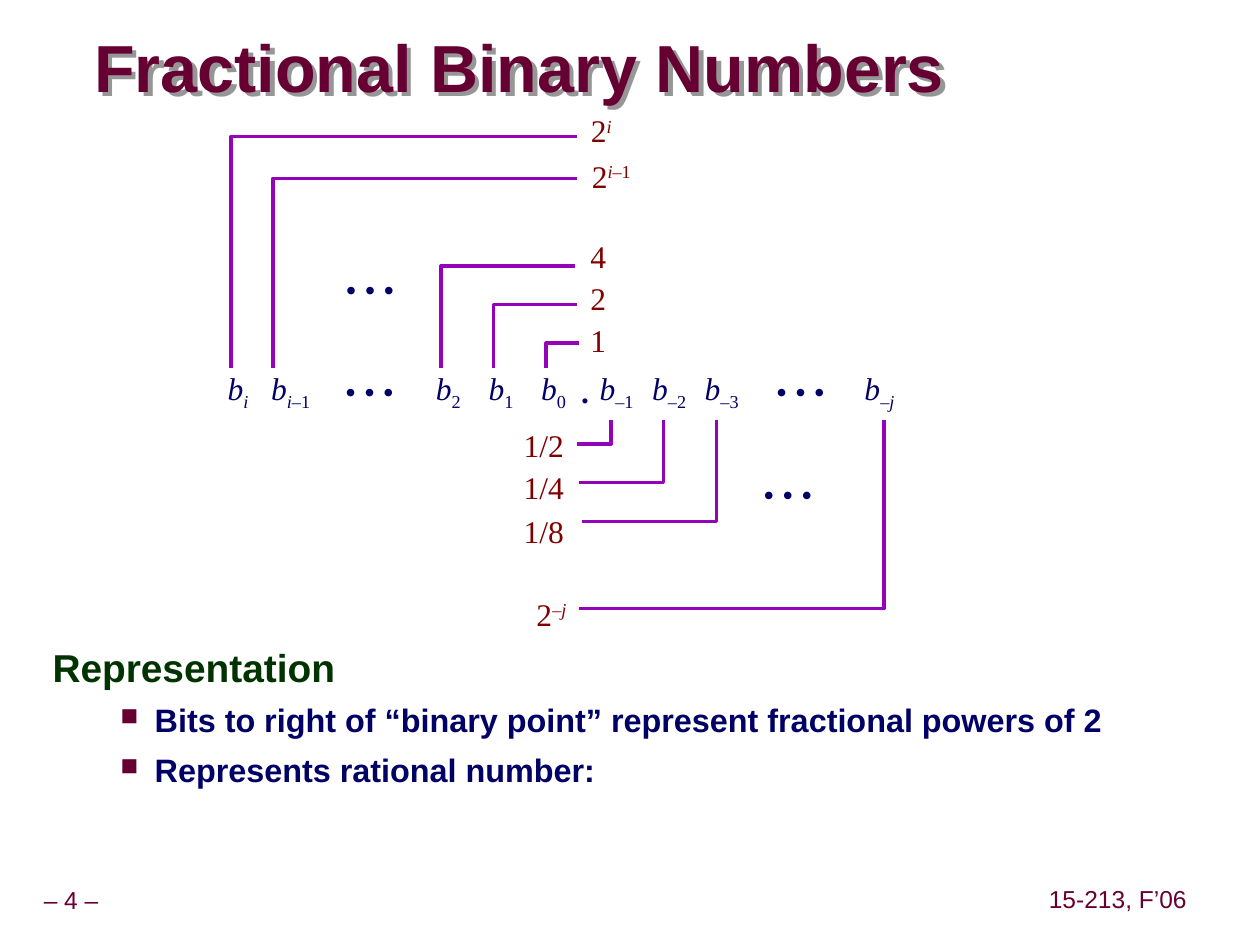
from lxml.etree import SubElement
from pptx import Presentation
from pptx.dml.color import RGBColor
from pptx.enum.shapes import MSO_SHAPE as Shape
from pptx.enum.text import MSO_ANCHOR as Anchor, PP_ALIGN as Align
from pptx.oxml.ns import qn
from pptx.util import Cm, Pt

MAROON = RGBColor(0x66, 0x00, 0x33)
GREEN = RGBColor(0x00, 0x33, 0x00)
NAVY = RGBColor(0x00, 0x00, 0x66)
RED = RGBColor(0x80, 0x00, 0x00)
PURPLE = RGBColor(0x94, 0x03, 0xB9)
GRAY = RGBColor(0x96, 0x96, 0x96)
WHITE = RGBColor(0xFF, 0xFF, 0xFF)
SANS, SERIF = "Arial", "Times New Roman"

TITLE = "Fractional Binary Numbers"
HEADING = "Representation"
BULLETS = [
    "Bits to right of “binary point” represent fractional powers of 2",
    "Represents rational number:",
]
FOOTERS = [("– 4 –", -0.23, 17.78, 3.33), ("15-213, F’06", 21.01, 17.76, 3.05)]

DOTS = [("• • •", "")]
BIT, GAP, POINT = 1.06, 2.12, 0.21
BITS = [
    ([("b", "i"), ("i", "i_")], BIT),
    ([("b", "i"), ("i", "i_"), ("–1", "_")], BIT),
    (DOTS, GAP),
    ([("b", "i"), ("2", "_")], BIT),
    ([("b", "i"), ("1", "_")], BIT),
    ([("b", "i"), ("0", "_")], BIT),
    ([(".", "b")], POINT),
    ([("b", "i"), ("–1", "_")], BIT),
    ([("b", "i"), ("–2", "_")], BIT),
    ([("b", "i"), ("–3", "_")], BIT),
    (DOTS, GAP),
    ([("b", "i"), ("–", "_"), ("j", "i_")], BIT),
]
BITS_LEFT, BITS_TOP, BITS_HEIGHT = 4.27, 7.14, 1.47

UPPER = [
    ([("2", ""), ("i", "i^")], 11.66, 2.11, 1.05, 11.63, 4.66, 2.75),
    ([("2", ""), ("i", "i^"), ("–1", "^")], 11.68, 3.03, 1.4, 11.63, 5.5, 3.6),
    ([("4", "")], 11.65, 4.65, 0.85, 11.6, 8.89, 5.36),
    ([("2", "")], 11.65, 5.5, 0.85, 11.63, 9.95, 6.14),
    ([("1", "")], 11.65, 6.35, 0.85, 11.68, 11.01, 6.92),
]
LOWER = [
    ([("1/2", "")], 10.22, 8.46, 1.4, 11.64, 12.32, 8.95),
    ([("1/4", "")], 10.22, 9.31, 1.4, 11.68, 13.38, 9.73),
    ([("1/8", "")], 10.22, 10.2, 1.4, 11.73, 14.44, 10.51),
    ([("2", ""), ("–", "^"), ("j", "i^")], 10.47, 11.86, 1.2, 11.68, 17.82, 12.27),
]
UPPER_FOOT, LOWER_FOOT = 7.41, 8.47
LABEL_HEIGHT = 1.02
BASELINES = {"_": "-25000", "^": "30000"}


def add_run(paragraph, text, size, color, font=SANS, style=""):
    run = paragraph.add_run()
    run.text = text
    run.font.size = Pt(size)
    run.font.color.rgb = color
    run.font.name = font
    run.font.bold = "b" in style
    run.font.italic = "i" in style
    for mark, baseline in BASELINES.items():
        if mark in style:
            run.font._element.set("baseline", baseline)


def add_formula(paragraph, runs, color):
    for text, style in runs:
        add_run(paragraph, text, 18, color, SERIF, style)


def set_frame(shape, anchor, wrap, inset_x=0.25, inset_y=0.13):
    frame = shape.text_frame
    frame.word_wrap = wrap
    frame.vertical_anchor = anchor
    frame.margin_left = frame.margin_right = Cm(inset_x)
    frame.margin_top = frame.margin_bottom = Cm(inset_y)
    return frame


def add_text_box(slide, left, top, width, height):
    return slide.shapes.add_textbox(Cm(left), Cm(top), Cm(width), Cm(height))


def add_cell(slide, runs, left, top, width):
    cell = slide.shapes.add_shape(
        Shape.RECTANGLE, Cm(left), Cm(top), Cm(width), Cm(BITS_HEIGHT))
    cell.shadow.inherit = False
    cell.fill.solid()
    cell.fill.fore_color.rgb = WHITE
    cell.line.fill.background()
    paragraph = set_frame(cell, Anchor.MIDDLE, False).paragraphs[0]
    paragraph.alignment = Align.CENTER
    add_formula(paragraph, runs, NAVY)
    return cell


def add_weight(slide, weight, alignment, foot):
    runs, left, top, width, end, corner, level = weight
    label = add_text_box(slide, left, top, width, LABEL_HEIGHT)
    paragraph = set_frame(label, Anchor.TOP, False).paragraphs[0]
    paragraph.alignment = alignment
    add_formula(paragraph, runs, RED)
    builder = slide.shapes.build_freeform(Cm(end), Cm(level))
    builder.add_line_segments(
        [(Cm(corner), Cm(level)), (Cm(corner), Cm(foot))], close=False)
    wire = builder.convert_to_shape()
    wire.shadow.inherit = False
    wire.fill.background()
    wire.line.color.rgb = PURPLE
    wire.line.width = Pt(2)


def add_title(slide):
    title = add_text_box(slide, 1.9, 0.64, 19.08, 1.6)
    title.fill.background()
    title.line.fill.background()
    effects = SubElement(title._element.spPr, qn("a:effectLst"))
    shadow = SubElement(effects, qn("a:outerShdw"), dist=str(Cm(0.13)),
                        dir="2700000", algn="ctr", rotWithShape="0")
    SubElement(shadow, qn("a:srgbClr"), val=str(GRAY))
    paragraph = set_frame(title, Anchor.MIDDLE, True, 0, 0).paragraphs[0]
    paragraph.line_spacing = 0.87
    add_run(paragraph, TITLE, 38, MAROON, style="b")


def add_body(slide):
    body = add_text_box(slide, 0.81, 13.06, 23.55, 3.02)
    frame = set_frame(body, Anchor.TOP, True)
    heading = frame.paragraphs[0]
    heading.line_spacing = 0.75
    add_run(heading, HEADING, 22.2, GREEN, style="b")
    for text in BULLETS:
        paragraph = frame.add_paragraph()
        paragraph.space_before = Pt(6.2)
        properties = paragraph._p.get_or_add_pPr()
        properties.set("marL", str(Cm(2.06)))
        properties.set("indent", str(Cm(-0.69)))
        bullet_color = SubElement(properties, qn("a:buClr"))
        SubElement(bullet_color, qn("a:srgbClr"), val=str(MAROON))
        SubElement(properties, qn("a:buSzPct"), val="75000")
        SubElement(properties, qn("a:buChar"), char="■")
        add_run(paragraph, text, 18.5, NAVY, style="b")


def add_footer(slide, text, left, top, width):
    footer = add_text_box(slide, left, top, width, 0.79)
    paragraph = set_frame(footer, Anchor.MIDDLE, False, 0.13).paragraphs[0]
    paragraph.alignment = Align.CENTER
    paragraph.line_spacing = 0.9
    add_run(paragraph, text, 14, MAROON)


def main():
    presentation = Presentation()
    presentation.slide_width, presentation.slide_height = Cm(25.4), Cm(19.05)
    slide = presentation.slides.add_slide(presentation.slide_layouts[6])

    for footer in FOOTERS:
        add_footer(slide, *footer)
    add_title(slide)
    add_body(slide)

    left = BITS_LEFT
    for runs, width in BITS:
        add_cell(slide, runs, left, BITS_TOP, width)
        left += width

    add_cell(slide, DOTS, 6.4, 5.08, GAP)
    add_cell(slide, DOTS, 14.82, 9.3, GAP).rotation = 180
    for weight in UPPER:
        add_weight(slide, weight, Align.LEFT, UPPER_FOOT)
    for weight in LOWER:
        add_weight(slide, weight, Align.RIGHT, LOWER_FOOT)

    presentation.save("out.pptx")


if __name__ == "__main__":
    main()
